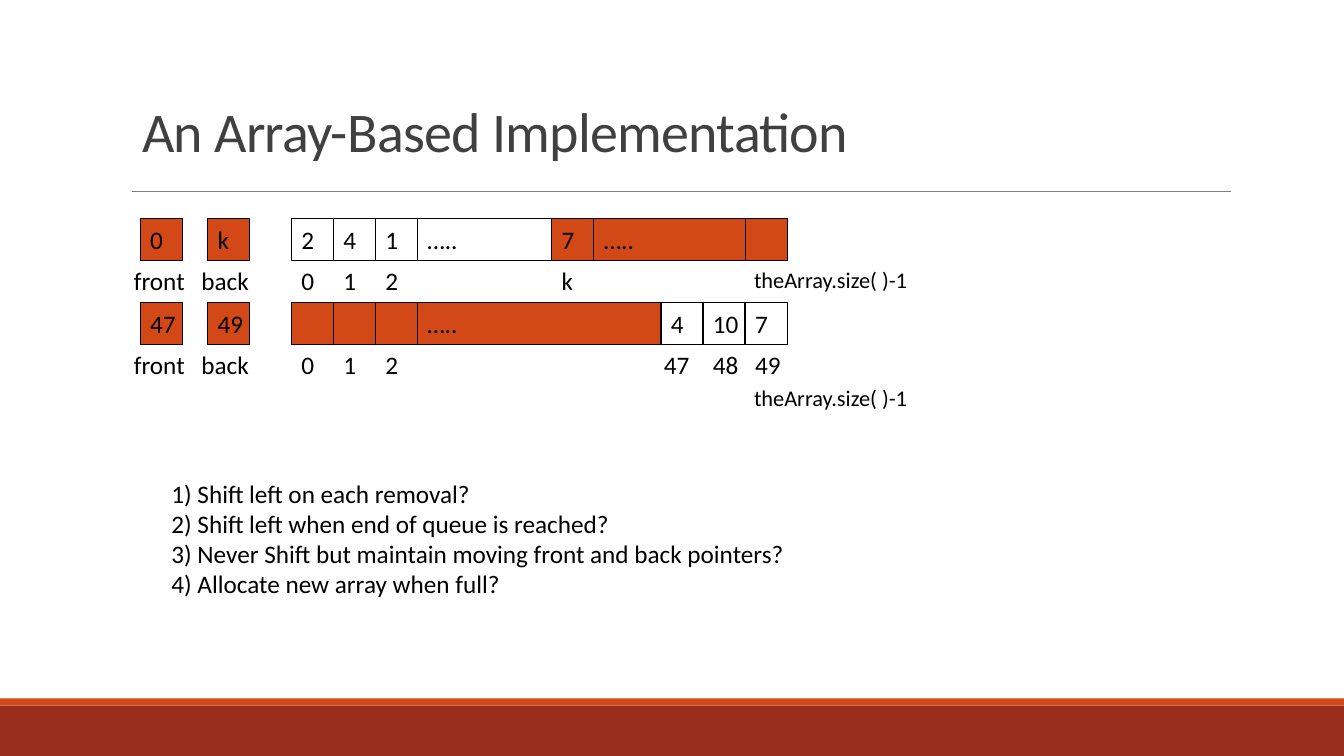
"""Build the slide on an array-based queue implementation."""
from dataclasses import dataclass

from lxml import etree
from pptx import Presentation
from pptx.dml.color import RGBColor
from pptx.enum.shapes import MSO_CONNECTOR, MSO_SHAPE
from pptx.enum.text import MSO_ANCHOR, MSO_AUTO_SIZE, PP_ALIGN
from pptx.oxml.ns import qn
from pptx.util import Inches, Pt

RECTANGLE = MSO_SHAPE.RECTANGLE
STRAIGHT = MSO_CONNECTOR.STRAIGHT
TOP, MIDDLE, BOTTOM = MSO_ANCHOR.TOP, MSO_ANCHOR.MIDDLE, MSO_ANCHOR.BOTTOM
LEFT = PP_ALIGN.LEFT
NO_FIT = MSO_AUTO_SIZE.NONE


@dataclass(frozen=True)
class Theme:
    font: str = "Calibri"
    ink: str = "000000"
    heading: str = "404040"
    rule: str = "808080"
    paper: str = "FFFFFF"
    accent: str = "D34817"
    footer: str = "9B2D1F"
    title_size: int = 40
    text_size: int = 18
    small_size: int = 16


theme = Theme()
WIDTH, HEIGHT = 13.33, 7.5
CELL = 5 / 12
GRID_TOP = 2.17
ARRAY_LEFT = 2.89
LABEL_WIDTHS = {1: 0.33, 2: 0.46, 4: 0.67, 5: 0.71, 18: 1.79}

deck = Presentation()
deck.slide_width, deck.slide_height = Inches(WIDTH), Inches(HEIGHT)
page = deck.slides.add_slide(deck.slide_layouts[1])


def write(shape, lines, size, color=theme.ink, anchor=TOP, wrap=False):
    frame = shape.text_frame
    frame.auto_size = NO_FIT
    frame.word_wrap = wrap
    frame.vertical_anchor = anchor
    for index, line in enumerate(lines):
        para = frame.add_paragraph() if index else frame.paragraphs[0]
        para.alignment = LEFT
        para.space_before = Pt(0)
        span = para.add_run()
        span.text = line
        span.font.name, span.font.size = theme.font, Pt(size)
        span.font.color.rgb = RGBColor.from_string(color)


def add_box(left, top, width, height, fill, outline=None):
    box = page.shapes.add_shape(RECTANGLE, Inches(left), Inches(top), Inches(width), Inches(height))
    box.shadow.inherit = False
    box.fill.solid()
    box.fill.fore_color.rgb = RGBColor.from_string(fill)
    if outline:
        box.line.color.rgb = RGBColor.from_string(outline)
        box.line.width = Pt(0.75)
    else:
        box.line.fill.background()
    return box


add_box(0, 7, WIDTH, 0.5, theme.footer)
add_box(0, 6.93, WIDTH, 0.07, theme.accent)
rule = page.shapes.add_connector(STRAIGHT, Inches(1.31), Inches(1.9), Inches(12.21), Inches(1.9))
rule.line.color.rgb = RGBColor.from_string(theme.rule)
rule.line.width = Pt(0.5)
etree.SubElement(rule._element.spPr, qn("a:effectLst"))

title = page.shapes.title
title.left, title.top, title.width, title.height = map(Inches, (1.31, 0.71, 10, 0.97))
write(title, ["An Array-Based Implementation"], theme.title_size, theme.heading, BOTTOM, True)
title_para = title.text_frame.paragraphs[0]
title_para.line_spacing = 0.85
title_para.runs[0]._r.get_or_add_rPr().set("spc", "-50")

# (text, width in cells, fill, index below, shift of the index)
queues = [
    ("0", "k", [
        ("2", 1, theme.paper, "0", 0), ("4", 1, theme.paper, "1", 0),
        ("1", 1, theme.paper, "2", 0), ("…..", 3.2, theme.paper, "", 0),
        ("7", 1, theme.accent, "k", 0), ("…..", 3.6, theme.accent, "", 0),
        ("", 1, theme.accent, "", 0)]),
    ("47", "49", [
        ("", 1, theme.accent, "0", 0), ("", 1, theme.accent, "1", 0),
        ("", 1, theme.accent, "2", 0), ("…..", 5.8, theme.accent, "", 0),
        ("4", 1, theme.paper, "47", -0.07), ("10", 1, theme.paper, "48", 0),
        ("7", 1, theme.paper, "49", 0)]),
]
labels = [(7.38, 2.59, "theArray.size( )-1", theme.small_size),
          (7.38, 3.76, "theArray.size( )-1", theme.small_size)]

for row, (front, back, cells) in enumerate(queues):
    top = GRID_TOP + 2 * CELL * row
    placed = [(1.39, front, 1, theme.accent, "front", -0.16),
              (2.06, back, 1, theme.accent, "back", -0.16)]
    left = ARRAY_LEFT
    for cell in cells:
        placed.append((left, *cell))
        left += cell[1] * CELL
    for left, text, span_cells, fill, label, shift in placed:
        box = add_box(left, top, span_cells * CELL, CELL, fill, theme.ink)
        if text:
            write(box, [text], theme.text_size, anchor=MIDDLE)
        if label:
            labels.append((left + shift, top + CELL, label, theme.text_size))

for left, top, text, size in labels:
    label_box = page.shapes.add_textbox(
        Inches(left), Inches(top), Inches(LABEL_WIDTHS[len(text)]), Inches(0.4))
    write(label_box, [text], size)

options = page.placeholders[1]
options.left, options.top, options.width, options.height = map(Inches, (1.6, 4.69, 6.58, 1.31))
write(options, [
    "1) Shift left on each removal?",
    "2) Shift left when end of queue is reached?",
    "3) Never Shift but maintain moving front and back pointers?",
    "4) Allocate new array when full?",
], theme.text_size, wrap=True)
for para in options.text_frame.paragraphs:
    properties = para._p.get_or_add_pPr()
    properties.set("marL", "0")
    properties.set("indent", "0")
    etree.SubElement(properties, qn("a:buNone"))

deck.save("out.pptx")
